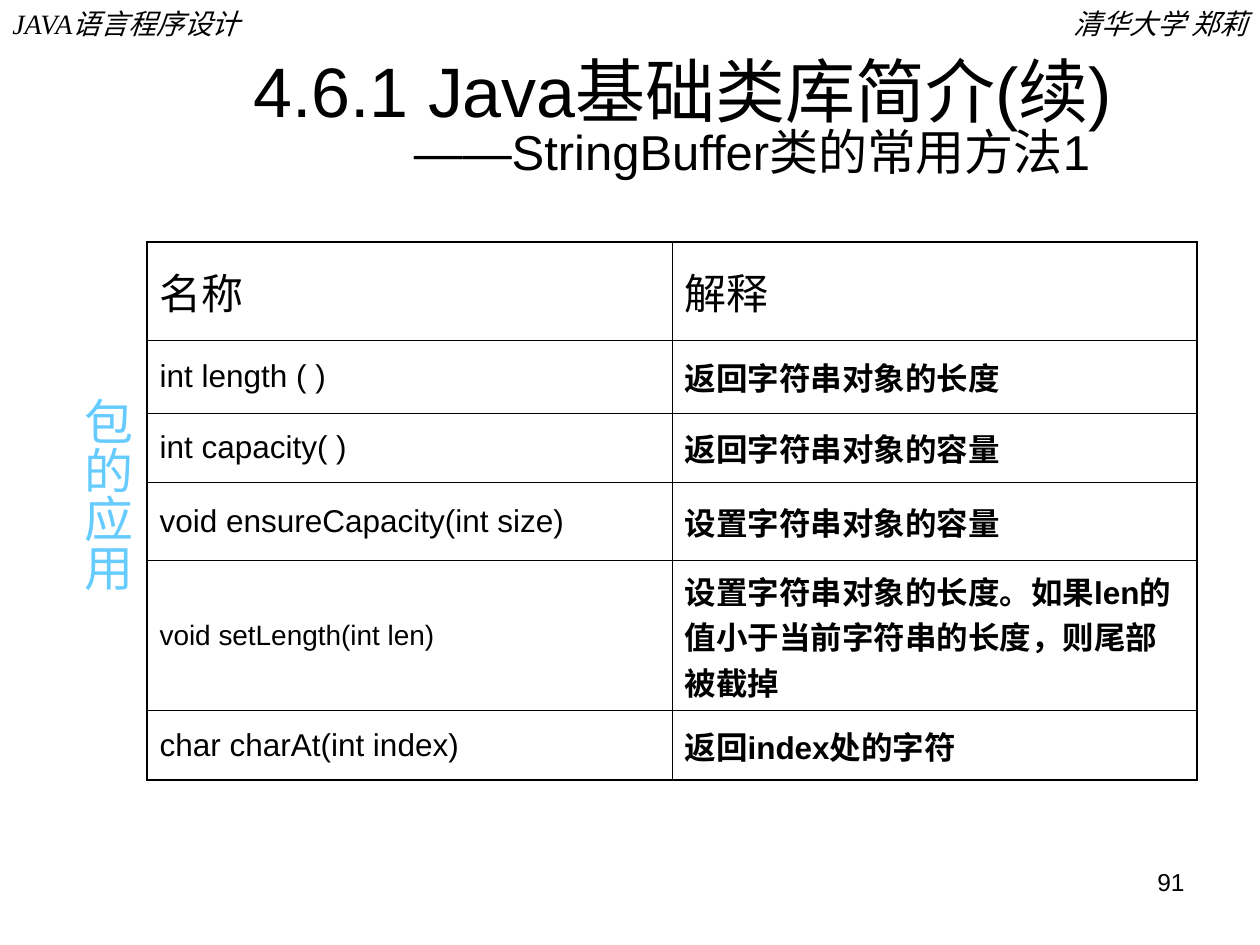
import pptx
import pptx.util
import pptx.dml.color
import pptx.enum.text
import pptx.oxml
import pptx.oxml.ns

EMU_PER_PX = 914400 / 126
COLORS = {"ink": "000000", "paper": "FFFFFF", "sky": "66CCFF"}
SANS, SERIF = "Arial", "Times New Roman"
ALIGN = pptx.enum.text.PP_ALIGN
ANCHOR = pptx.enum.text.MSO_ANCHOR
THIN, THICK = 0.45, 1.08


def px(length):
    return pptx.util.Emu(round(length * EMU_PER_PX))


def rgb(name):
    return pptx.dml.color.RGBColor.from_string(COLORS[name])


class SlideBuilder:
    def __init__(self, page):
        self.page = page

    def style(self, para, size, font=SANS, color="ink", bold=False, italic=False, align=ALIGN.LEFT):
        para.alignment = align
        para.font.size = pptx.util.Pt(size)
        para.font.name = font
        para.font.bold = bold
        para.font.italic = italic
        para.font.color.rgb = rgb(color)

    def text(self, frame, words, size, **look):
        box = self.page.shapes.add_textbox(*map(px, frame))
        body = box.text_frame
        body.word_wrap = True
        para = body.paragraphs[0]
        para.text = words
        self.style(para, size, **look)
        return body

    def title(self, frame, words, size, subtitle, subtitle_size, indent):
        """Two tight centred lines, the second shifted right."""
        body = self.text(frame, words, size, align=ALIGN.CENTER)
        body.vertical_anchor = ANCHOR.BOTTOM
        body.margin_bottom = px(11)
        para = body.add_paragraph()
        para.text = subtitle
        para._p.get_or_add_pPr().set("marL", str(px(indent)))
        para.space_before = pptx.util.Pt(5)
        self.style(para, subtitle_size, align=ALIGN.CENTER)
        for line in body.paragraphs:
            line.line_spacing = 0.7

    def vertical_text(self, frame, words, size, inset, **look):
        body = self.text(frame, words, size, **look)
        body.margin_left = body.margin_right = px(6)
        body.margin_top = body.margin_bottom = px(inset)
        body._txBody.bodyPr.set("vert", "eaVert")

    def border(self, cell, side, width):
        cell._tc.get_or_add_tcPr().append(pptx.oxml.parse_xml(
            f'<a:{side} {pptx.oxml.ns.nsdecls("a")} w="{pptx.util.Pt(width)}">'
            f'<a:solidFill><a:srgbClr val="{COLORS["ink"]}"/></a:solidFill></a:{side}>'))

    def table(self, left, top, column_width, heights, rows):
        """Rows hold (name, name size, meaning, meaning size, bold meaning)."""
        grid = self.page.shapes.add_table(
            len(rows), 2, px(left), px(top), px(2 * column_width), px(sum(heights))).table
        grid.first_row = grid.horz_banding = False
        for column in grid.columns:
            column.width = px(column_width)
        for r, (name, name_size, meaning, meaning_size, bold) in enumerate(rows):
            grid.rows[r].height = px(heights[r])
            entries = ((name, name_size, False), (meaning, meaning_size, bold))
            for c, (words, size, heavy) in enumerate(entries):
                cell = grid.cell(r, c)
                cell.vertical_anchor = ANCHOR.MIDDLE
                cell.text = words
                self.style(cell.text_frame.paragraphs[0], size, bold=heavy)
                outer = {"lnL": c == 0, "lnR": c == 1,
                         "lnT": r == 0, "lnB": r == len(rows) - 1}
                for side, is_outer in outer.items():
                    self.border(cell, side, THICK if is_outer else THIN)
                cell.fill.solid()
                cell.fill.fore_color.rgb = rgb("paper")


def main():
    deck = pptx.Presentation()
    deck.slide_width, deck.slide_height = px(1260), px(945)
    page = deck.slides.add_slide(deck.slide_layouts[6])
    builder = SlideBuilder(page)

    # Running header and page number
    builder.text((872, 0, 388, 47), "清华大学 郑莉", 16,
                 font=SERIF, italic=True, align=ALIGN.RIGHT)
    builder.text((0, 0, 388, 47), "JAVA语言程序设计", 16, font=SERIF, italic=True)
    builder.text((903, 861, 294, 66), "91", 14, align=ALIGN.RIGHT)

    # Title
    builder.title((179, 32, 1007, 158), "4.6.1 Java基础类库简介(续)", 40,
                  "——StringBuffer类的常用方法1", 28, indent=139)

    # Method table
    builder.table(147, 242, 525, (98, 73, 69, 79, 150, 69), [
        ("名称", 24, "解释", 24, False),
        ("int length ( )", 18, "返回字符串对象的长度", 18, True),
        ("int capacity( )", 18, "返回字符串对象的容量", 18, True),
        ("void ensureCapacity(int size)", 18, "设置字符串对象的容量", 18, True),
        ("void setLength(int len)", 16,
         "设置字符串对象的长度。如果len的值小于当前字符串的长度，则尾部被截掉", 18, True),
        ("char charAt(int index)", 18, "返回index处的字符", 18, True),
    ])

    # Chapter name down the side
    builder.vertical_text((60, 135, 83, 725), "包的应用", 28, inset=262,
                          font=SERIF, color="sky", align=ALIGN.CENTER)

    deck.save("out.pptx")


if __name__ == "__main__":
    main()
